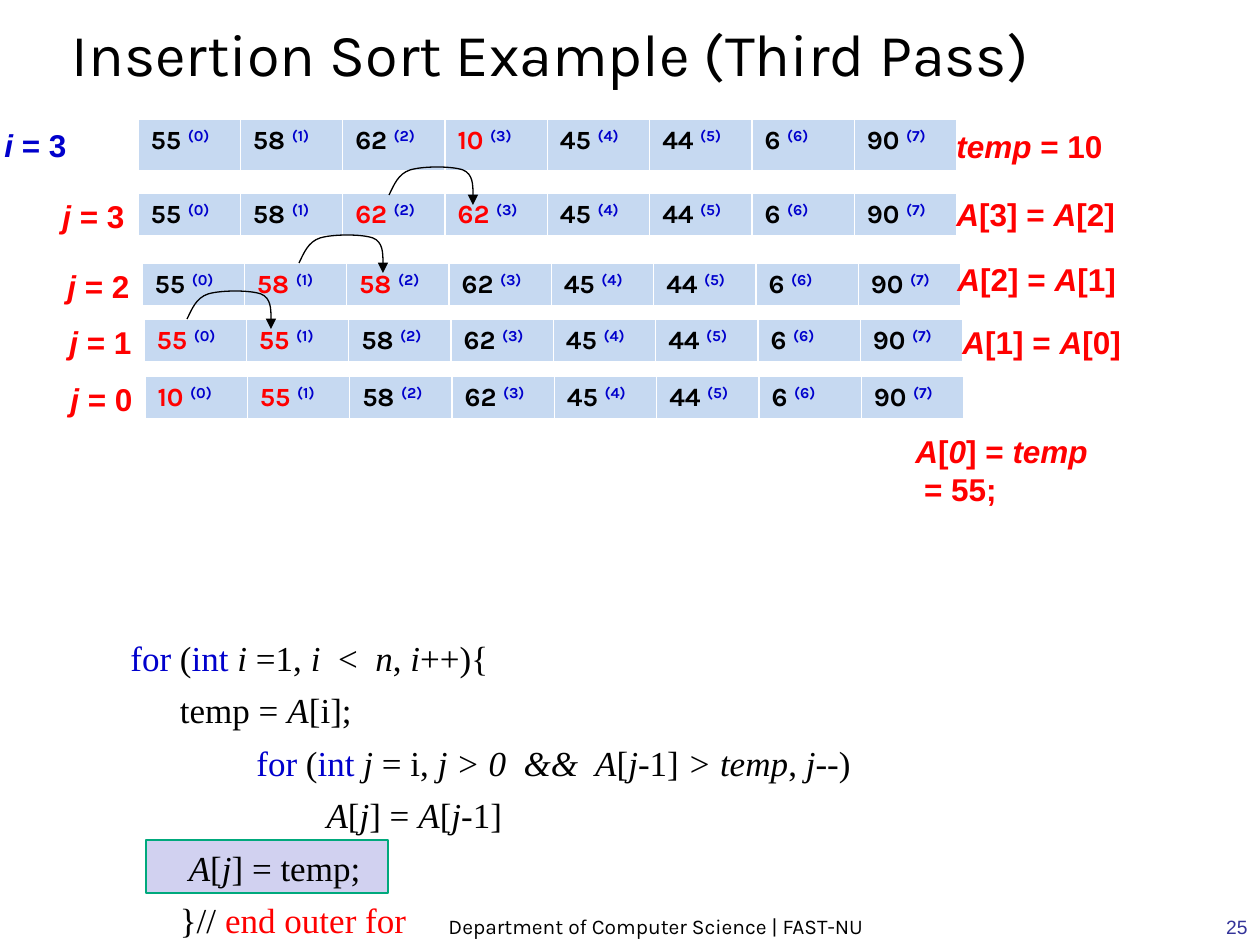
from lxml import etree
from pptx import Presentation
from pptx.dml.color import RGBColor
from pptx.enum.shapes import MSO_CONNECTOR, MSO_SHAPE
from pptx.enum.text import MSO_ANCHOR, MSO_AUTO_SIZE, PP_ALIGN
from pptx.oxml.ns import qn
from pptx.util import Pt

SCALE = 7257  # EMU in one px, at 126 px to the inch
LEFT, CENTER, RIGHT = PP_ALIGN.LEFT, PP_ALIGN.CENTER, PP_ALIGN.RIGHT
TOP, BOTTOM = MSO_ANCHOR.TOP, MSO_ANCHOR.BOTTOM
BLACK, WHITE, RED, BLUE = "000000", "FFFFFF", "FF0000", "0000CC"
CELL_FILL = "C6D9F1"

LABEL = {"name": "Arial", "size": Pt(18), "bold": True}
CODE = {"name": "Times New Roman", "size": Pt(20)}
VALUE = {"name": "Karla", "size": Pt(15), "bold": True}

# Per pass: table left, top, height, values, indexes of the red values,
# left label (left, top, text, colour), right label (left, top, width, lines)
PASSES = [
    (138, 119, 53, [55, 58, 62, 10, 45, 44, 6, 90], {3},
     (-8, 120, "*i* = 3", BLUE), (944, 121, 171, ["*temp* = 10"])),
    (138, 193, 44, [55, 58, 62, 62, 45, 44, 6, 90], {2, 3},
     (50, 191, "*j* = 3", RED), (944, 189, 184, ["*A*[3] = *A*[2]"])),
    (142, 263, 44, [55, 58, 58, 62, 45, 44, 6, 90], {1, 2},
     (55, 261, "*j* = 2", RED), (945, 254, 184, ["*A*[2] = *A*[1]"])),
    (144, 319, 44, [55, 55, 58, 62, 45, 44, 6, 90], {0, 1},
     (57, 317, "*j* = 1", RED), (950, 317, 184, ["*A*[1] = *A*[0]"])),
    (145, 376, 44, [10, 55, 58, 62, 45, 44, 6, 90], {0, 1},
     (58, 374, "*j* = 0", RED), (903, 426, 198, ["*A*[*0*] = *temp*", " = 55;"])),
]

ARC_STARTS = [(389, 195), (299, 263), (187, 319)]
ARC_POINTS = [(5, -10), (9, -21), (21, -25), (34, -29), (63, -29),
              (74, -25), (84, -21), (84, -10), (84, 0)]

# Stars enclose italics, carets enclose the accent colour
CODE_LINES = [
    ("\t^for^ (^int ^*i *=1, *i  *<  *n*, *i*++){", BLUE),
    ("          temp = *A*[i];", BLUE),
    ("\t\t^for^ (^int ^*j *= i, *j > 0  &&  A*[*j*-1]* > temp*, *j*--)", BLUE),
    ("\t\t        *A*[*j*] = *A*[*j*-1]", BLUE),
    ("           *A*[*j*] = temp;", BLUE),
    ("          }// ^end outer for^", RED),
]
CODE_INDENT = {"marL": 38, "indent": -38, "defTabSz": 126}


def px(length):
    return length * SCALE


def rgb(color):
    return RGBColor.from_string(color)


def add_span(para, text, color, font):
    span = para.add_run()
    span.text = text
    span.font.color.rgb = rgb(color)
    for name, value in font.items():
        setattr(span.font, name, value)
    return span


def add_marked_text(para, marked, font, color, accent=BLUE):
    """Write text in which stars enclose italics and carets the accent colour."""
    for i, part in enumerate(marked.split("^")):
        for j, text in enumerate(part.split("*")):
            if text:
                add_span(para, text, accent if i % 2 else color,
                         {**font, "italic": bool(j % 2)})


def add_box(page, area, anchor=TOP, wrap=True):
    frame = page.shapes.add_textbox(*map(px, area)).text_frame
    frame.word_wrap = wrap
    frame.vertical_anchor = anchor
    return frame


def add_line_of_text(page, area, text, font, color, align):
    para = add_box(page, area, BOTTOM).paragraphs[0]
    para.alignment = align
    add_span(para, text, color, font)


def add_label(page, area, lines, color):
    frame = add_box(page, area, wrap=False)
    frame.auto_size = MSO_AUTO_SIZE.SHAPE_TO_FIT_TEXT
    for i, line in enumerate(lines):
        para = frame.add_paragraph() if i else frame.paragraphs[0]
        add_marked_text(para, line, LABEL, color)


def set_borders(cell):
    properties = cell._tc.get_or_add_tcPr()
    for side, width in (("L", 1), ("R", 1), ("T", 1), ("B", 3)):
        line = etree.SubElement(properties, qn(f"a:ln{side}"), w=str(Pt(width)))
        fill = etree.SubElement(line, qn("a:solidFill"))
        etree.SubElement(fill, qn("a:srgbClr"), val=WHITE)


def add_array(page, left, top, height, values, changed):
    """Draw the array as a one-row table with its indexes in superscript."""
    width = px(819)
    table = page.shapes.add_table(1, len(values), px(left), px(top),
                                  width, px(height)).table
    table.first_row = table.horz_banding = False
    for i, value in enumerate(values):
        table.columns[i].width = width // len(values)
        cell = table.cell(0, i)
        set_borders(cell)
        cell.fill.solid()
        cell.fill.fore_color.rgb = rgb(CELL_FILL)
        para = cell.text_frame.paragraphs[0]
        add_span(para, f"{value} ", RED if i in changed else BLACK, VALUE)
        index = add_span(para, f"({i})", BLUE, VALUE)
        index._r.get_or_add_rPr().set("baseline", "30000")


def set_line(shape, color, width):
    shape.line.color.rgb = rgb(color)
    shape.line.width = Pt(width)


def add_arc(page, x, y):
    """Draw the curve from one cell to the next, ending in an arrow."""
    builder = page.shapes.build_freeform(x, y, scale=SCALE)
    builder.add_line_segments([(x + dx, y + dy) for dx, dy in ARC_POINTS], close=False)
    arc = builder.convert_to_shape()
    arc.fill.background()
    arc.shadow.inherit = False
    set_line(arc, BLACK, 0.75)
    segments = list(arc._element.iter(qn("a:lnTo")))
    for start in range(0, len(segments), 3):
        curve = etree.Element(qn("a:cubicBezTo"))
        segments[start].addprevious(curve)
        for segment in segments[start:start + 3]:
            curve.append(segment[0])
            segment.getparent().remove(segment)

    end = x + ARC_POINTS[-1][0]
    arrow = page.shapes.add_connector(MSO_CONNECTOR.STRAIGHT,
                                      px(end), px(y), px(end), px(y + 10))
    set_line(arrow, BLACK, 0.75)
    etree.SubElement(arrow.line._get_or_add_ln(), qn("a:tailEnd"), type="triangle")
    etree.SubElement(arrow._element.spPr, qn("a:effectLst"))


def add_highlight(page, area):
    box = page.shapes.add_shape(MSO_SHAPE.RECTANGLE, *map(px, area))
    box.fill.solid()
    box.fill.fore_color.rgb = rgb("D1D1F0")
    box.shadow.inherit = False
    set_line(box, "00A97C", 1.5)


def add_code(page, area):
    frame = add_box(page, area)
    for i, (line, accent) in enumerate(CODE_LINES):
        para = frame.add_paragraph() if i else frame.paragraphs[0]
        para.space_before = Pt(6 if i else 0)
        properties = para._p.get_or_add_pPr()
        for name, length in CODE_INDENT.items():
            properties.set(name, str(px(length)))
        add_marked_text(para, line, CODE, BLACK, accent)


def set_title(page, area, text):
    title = page.shapes.title
    title.left, title.top, title.width, title.height = map(px, area)
    frame = title.text_frame
    frame.auto_size = MSO_AUTO_SIZE.NONE
    frame.vertical_anchor = BOTTOM
    para = frame.paragraphs[0]
    para.alignment = LEFT
    add_span(para, text, BLACK, {"name": "Karla", "size": Pt(34)})


def main():
    deck = Presentation()
    deck.slide_width, deck.slide_height = px(1260), px(945)
    page = deck.slides.add_slide(deck.slide_layouts[5])

    set_title(page, (59, 3, 998, 92), "Insertion Sort Example (Third Pass)")
    add_highlight(page, (146, 840, 242, 53))
    for left, top, height, values, changed, counter, step in PASSES:
        add_array(page, left, top, height, values, changed)
        x, y, text, color = counter
        add_label(page, (x, y, 87, 50), [text], color)
        x, y, width, lines = step
        add_label(page, (x, y, width, 50 if len(lines) == 1 else 88), lines, RED)
    for x, y in ARC_STARTS:
        add_arc(page, x, y)
    add_code(page, (80, 630, 998, 294))
    add_line_of_text(page, (346, 892, 620, 53), "Department of Computer Science | FAST-NU",
                     {"name": "Karla", "size": Pt(12)}, BLACK, CENTER)
    add_line_of_text(page, (998, 882, 262, 63), "25",
                     {"name": "Arial", "size": Pt(11)}, "333399", RIGHT)
    deck.save("out.pptx")


if __name__ == "__main__":
    main()
